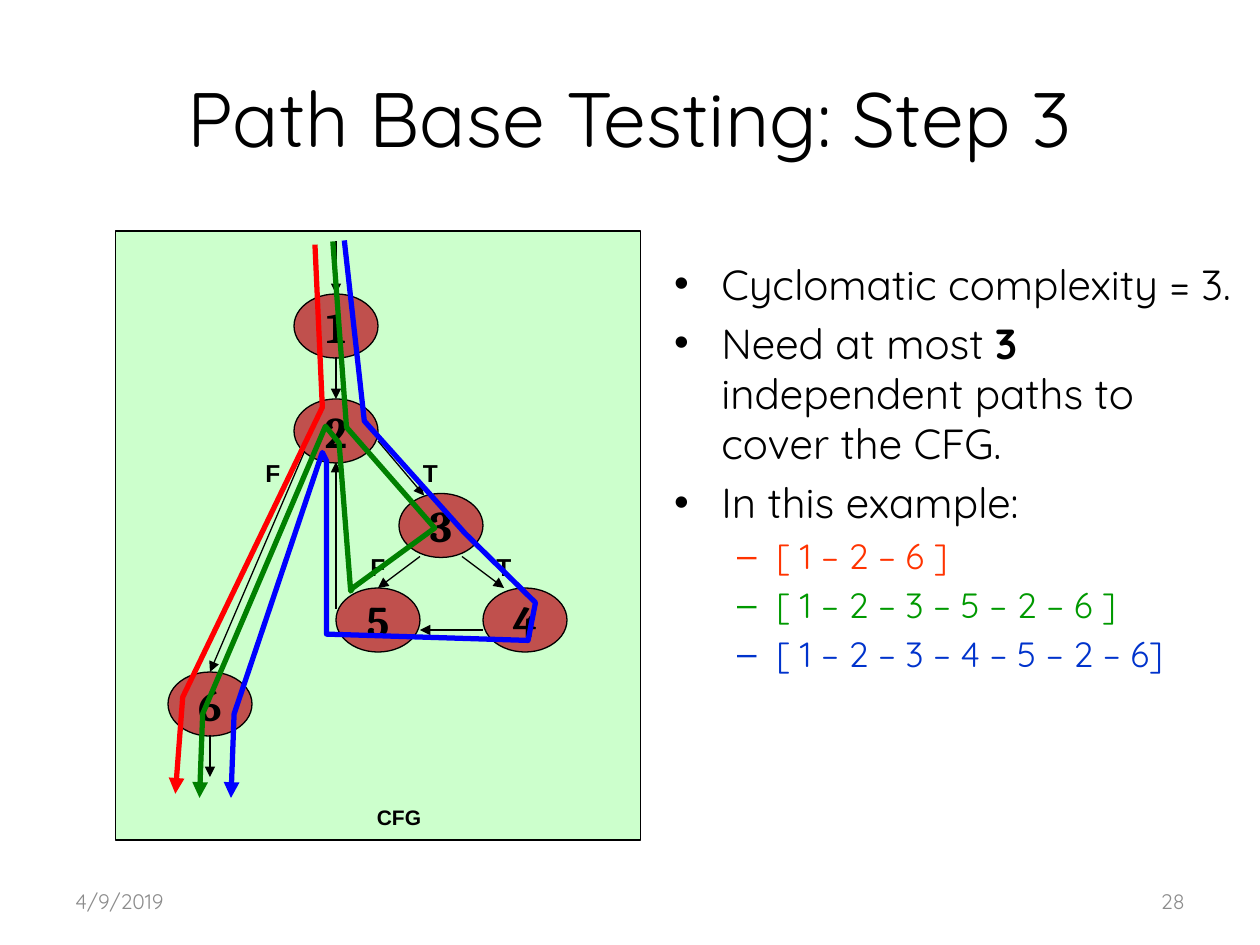
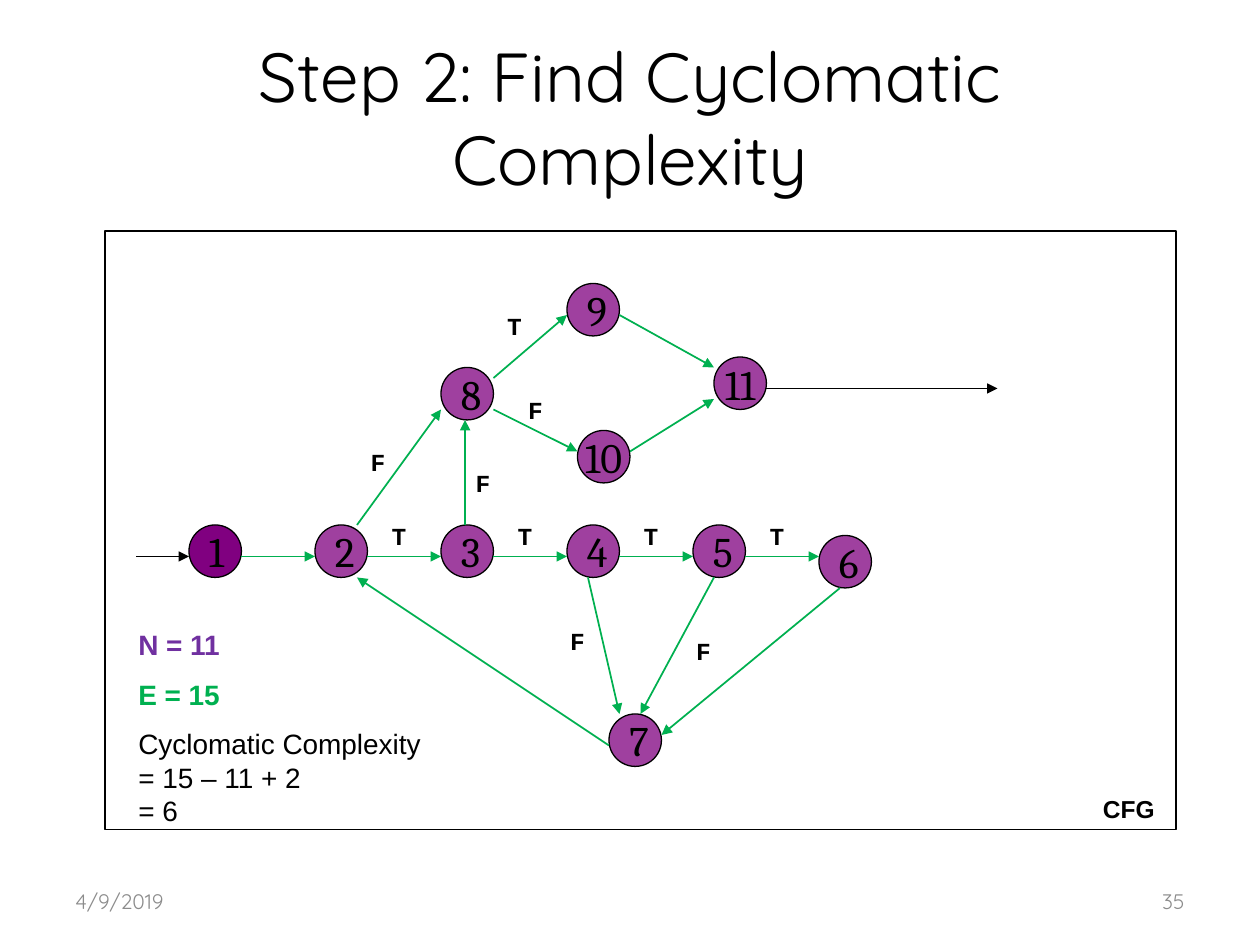
from lxml.etree import SubElement
from pptx import Presentation
from pptx.dml.color import RGBColor
from pptx.enum.shapes import MSO_CONNECTOR, MSO_SHAPE
from pptx.enum.text import MSO_ANCHOR, MSO_AUTO_SIZE, PP_ALIGN
from pptx.oxml.ns import qn
from pptx.util import Cm, Pt

COLORS = {
    "black": "000000", "footer": "8C8C8C", "mint": "CCFFCC", "brick": "C0504D",
    "purple": "800080", "edge": "00B050", "violet": "7030A0",
    "red": "FF0000", "green": "008000", "blue": "0000FF",
    "red_text": "FF3300", "green_text": "009900", "blue_text": "0033CC",
}
GRID = 2.54 / 12
DATE = "4/9/2019"

STEP3 = {
    "title": "Path Base Testing: Step 3",
    "number": "28",
    "panel": (11, 22, 50, 58),
    "nodes": {"1": (28, 28), "2": (28, 38), "3": (38, 47),
              "4": (46, 56), "5": (32, 56), "6": (16, 64)},
    "edges": [(32, 23, 32, 28), (32, 34, 32, 38), (36, 42, 40.4, 47.2),
              (40, 53, 36, 56), (44, 53, 48, 56), (29, 43, 20, 64),
              (20, 70, 20, 74), (46, 60, 40, 60), (32, 58, 32, 44)],
    "labels": [("T", 38, 43), ("F", 23, 43), ("T", 45, 52), ("F", 33, 52)],
    "caption": (34, 76, 8, 3.6),
    "bullets": [
        (0, [("Cyclomatic complexity = 3.", False)], "black"),
        (0, [("Need at most ", False), ("3 ", True),
             ("independent paths to cover the CFG.", False)], "black"),
        (0, [("In this example:", False)], "black"),
        (1, [("[ 1 – 2 – 6 ]", False)], "red_text"),
        (1, [("[ 1 – 2 – 3 – 5 – 2 – 6 ]", False)], "green_text"),
        (1, [("[ 1 – 2 – 3 – 4 – 5 – 2 – 6]", False)], "blue_text"),
    ],
    "paths": {
        "red": [(30, 23.3), (30.7, 38.8), (17.4, 66.4), (16.7, 75.6)],
        "green": [(31.7, 23), (33, 40.7), (41.4, 50.3), (33.6, 56), (33.4, 56.3),
                  (32.3, 42.2), (31, 40.6), (19.3, 68), (19, 76)],
        "blue": [(32.8, 22.9), (34.7, 40.1), (44.3, 50.8), (51, 57.4), (50.3, 61),
                 (31.1, 60.4), (31.1, 43.9), (30.7, 43.1), (22.3, 68), (22, 76)],
    },
}

ROW = [12 * i for i in range(5)]
STEP2 = {
    "title": "Step 2: Find Cyclomatic Complexity",
    "number": "35",
    "panel": (10, 22, 102, 57),
    "nodes": {**{str(i + 1): (18 + x, 50) for i, x in enumerate(ROW)},
              "6": (78, 51), "7": (58, 68), "9": (54, 27), "8": (42, 35),
              "10": (55, 41), "11": (68, 34)},
    "edges": [(23 + x, 53, 30 + x, 53) for x in ROW] + [
        (80, 56, 63, 70), (68, 55, 61, 68), (56, 55, 59, 68), (58, 71, 34, 55),
        (34, 50, 42, 39), (47, 36, 54, 30), (47, 39, 55, 43), (59, 30, 68, 35),
        (60, 43, 68, 38), (44.3, 50, 44.3, 40)],
    "outer_edges": [(13, 53, 18, 53), (73, 37, 95, 37)],
    "labels": [("T", 35 + x, 49) for x in ROW[:4]] + [
        ("T", 46, 29), ("F", 48, 37), ("F", 33, 42), ("F", 52, 59),
        ("F", 64, 60), ("F", 43, 44)],
    "caption": (103, 75, 9, 4),
    "result": (12, 59.2, 30, 20.6),
    "result_lines": [("N = 11", "violet", True), ("E = 15", "edge", True),
                     ("Cyclomatic Complexity\n= 15 – 11 + 2\n= 6", "black", False)],
}


def grid(*values):
    return [Cm(v * GRID) for v in values]


def rgb(name):
    return RGBColor.from_string(COLORS[name])


def style(p, font, size, color="black", bold=None, align=None):
    p.font.name = font
    p.font.size = Pt(size)
    p.font.color.rgb = rgb(color)
    p.font.bold = bold
    p.alignment = align


def add_text(shapes, box, text, font, size, color="black", bold=None,
             align=PP_ALIGN.CENTER, anchor=MSO_ANCHOR.TOP):
    tf = shapes.add_textbox(*grid(*box)).text_frame
    tf.word_wrap = True
    tf.vertical_anchor = anchor
    p = tf.paragraphs[0]
    p.text = text
    style(p, font, size, color, bold, align)
    return tf


def add_block(shapes, kind, box, fill, width, alpha=None):
    sp = shapes.add_shape(kind, *grid(*box))
    sp.shadow.inherit = False
    if fill:
        sp.fill.solid()
        sp.fill.fore_color.rgb = rgb(fill)
    else:
        sp.fill.background()
    if alpha:
        color = sp._element.spPr.find(qn("a:solidFill"))[0]
        SubElement(color, qn("a:alpha"), val=str(alpha * 1000))
    sp.line.color.rgb = rgb("black")
    sp.line.width = Pt(width)
    return sp


def add_node(shapes, text, box, fill, size, bold, align, alpha=None):
    tf = add_block(shapes, MSO_SHAPE.OVAL, box, fill, 0.75, alpha).text_frame
    tf.word_wrap = False
    tf.vertical_anchor = MSO_ANCHOR.MIDDLE
    p = tf.paragraphs[0]
    p.text = text
    style(p, "Cambria", size, bold=bold, align=align)


def style_arrow(sp, color, width):
    sp.line.color.rgb = rgb(color)
    sp.line.width = Pt(width)
    SubElement(sp.line._get_or_add_ln(), qn("a:tailEnd"), type="triangle")


def add_edges(shapes, edges, color, width):
    for edge in edges:
        c = shapes.add_connector(MSO_CONNECTOR.STRAIGHT, *grid(*edge))
        style_arrow(c, color, width)
        SubElement(c._element.spPr, qn("a:effectLst"))


def add_path(shapes, color, points):
    start, *rest = [grid(*point) for point in points]
    builder = shapes.build_freeform(*start)
    builder.add_line_segments(rest, close=False)
    sp = builder.convert_to_shape()
    sp.shadow.inherit = False
    sp.fill.background()
    style_arrow(sp, color, 3)


def add_labels(shapes, content, font, caption_size):
    for text, x, y in content["labels"]:
        add_text(shapes, (x, y, 6, 4), text, font, 14, bold=True)
    add_text(shapes, content["caption"], "CFG", "Arial", caption_size, bold=True)


def start_slide(prs, layout, content, title_size):
    s = prs.slides.add_slide(prs.slide_layouts[layout])
    for x, text, align in ((6, DATE, PP_ALIGN.LEFT),
                           (86, content["number"], PP_ALIGN.RIGHT)):
        add_text(s.shapes, (x, 83.4, 28, 4.8), text, "Quicksand", 12, "footer",
                 align=align, anchor=MSO_ANCHOR.MIDDLE)
    title = s.shapes.title
    title.left, title.top, title.width, title.height = grid(6, 3.6, 108, 15)
    tf = title.text_frame
    tf.text = content["title"]
    tf.auto_size = MSO_AUTO_SIZE.NONE
    style(tf.paragraphs[0], "Quicksand", title_size, align=PP_ALIGN.CENTER)
    return s


def add_bullets(body, bullets):
    body.left, body.top, body.width, body.height = grid(63, 24, 57, 46)
    tf = body.text_frame
    tf.auto_size = MSO_AUTO_SIZE.NONE
    for i, (level, runs, color) in enumerate(bullets):
        p = tf.add_paragraph() if i else tf.paragraphs[0]
        p.level = level
        style(p, "Quicksand", (24, 20)[level], color)
        for text, bold in runs:
            r = p.add_run()
            r.text = text
            if bold:
                r.font.bold = True


def build_step3(prs):
    s = start_slide(prs, 1, STEP3, 44)
    graph = s.shapes.add_group_shape().shapes
    add_block(graph, MSO_SHAPE.RECTANGLE, STEP3["panel"], "mint", 1)
    for text, (x, y) in STEP3["nodes"].items():
        add_node(graph, text, (x, y, 8, 6.1), "brick", 25, True, PP_ALIGN.CENTER)
    add_edges(graph, STEP3["edges"], "black", 0.75)
    add_labels(graph, STEP3, "Arial", 12)
    add_bullets(s.placeholders[1], STEP3["bullets"])
    for color, points in STEP3["paths"].items():
        add_path(s.shapes, color, points)


def build_step2(prs):
    s = start_slide(prs, 5, STEP2, 39.6)
    add_block(s.shapes, MSO_SHAPE.RECTANGLE, STEP2["panel"], None, 1)
    for text, (x, y) in STEP2["nodes"].items():
        align = PP_ALIGN.CENTER if len(text) > 1 else PP_ALIGN.LEFT
        add_node(s.shapes, text, (x, y, 5, 5), "purple", 24, None, align,
                 None if text == "1" else 75)
    add_edges(s.shapes, STEP2["edges"], "edge", 1)
    add_edges(s.shapes, STEP2["outer_edges"], "black", 1)
    add_labels(s.shapes, STEP2, "Courier New", 14)
    first, *rest = STEP2["result_lines"]
    tf = add_text(s.shapes, STEP2["result"], first[0], "Arial", 16, *first[1:],
                  align=PP_ALIGN.LEFT)
    for text, color, bold in rest:
        p = tf.add_paragraph()
        p.text = text
        p.space_before = Pt(9)
        style(p, "Arial", 16, color, bold, PP_ALIGN.LEFT)


def main():
    prs = Presentation()
    prs.slide_width, prs.slide_height = Cm(25.4), Cm(19.05)
    build_step3(prs)
    build_step2(prs)
    prs.save("out.pptx")


if __name__ == "__main__":
    main()
